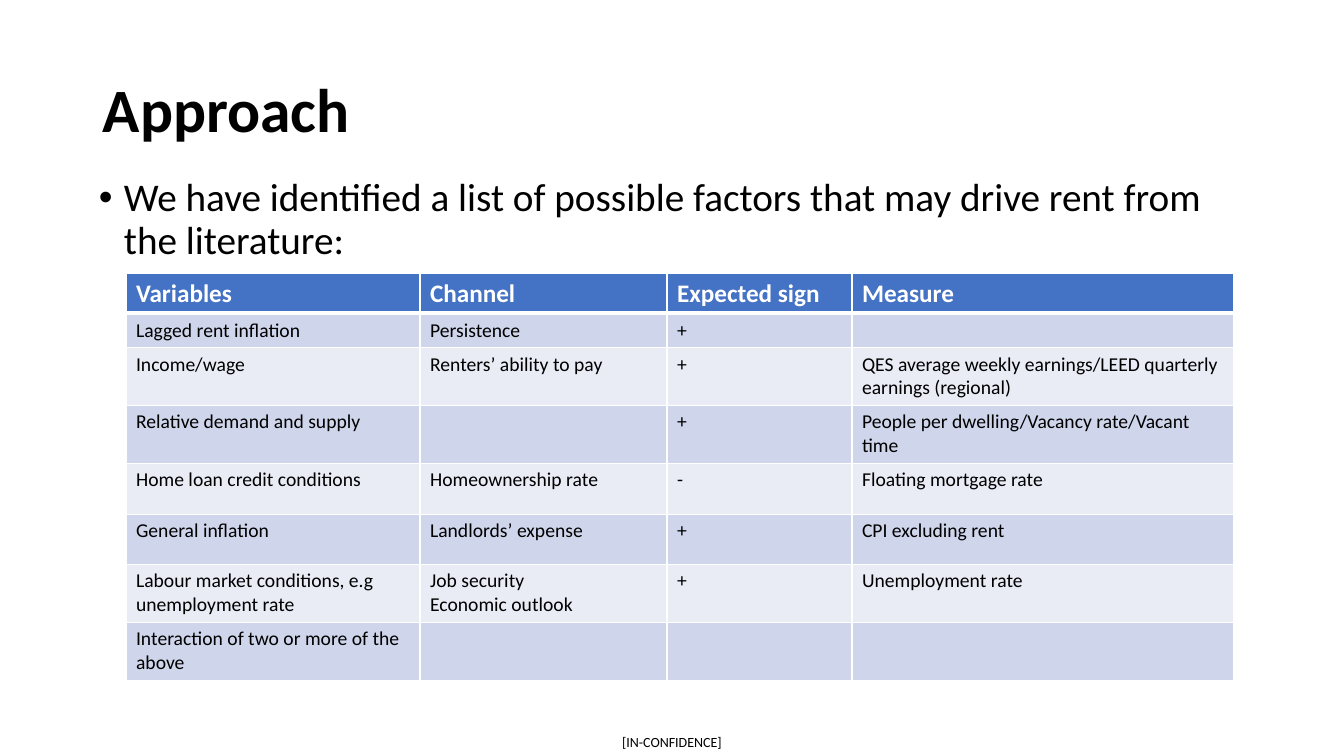
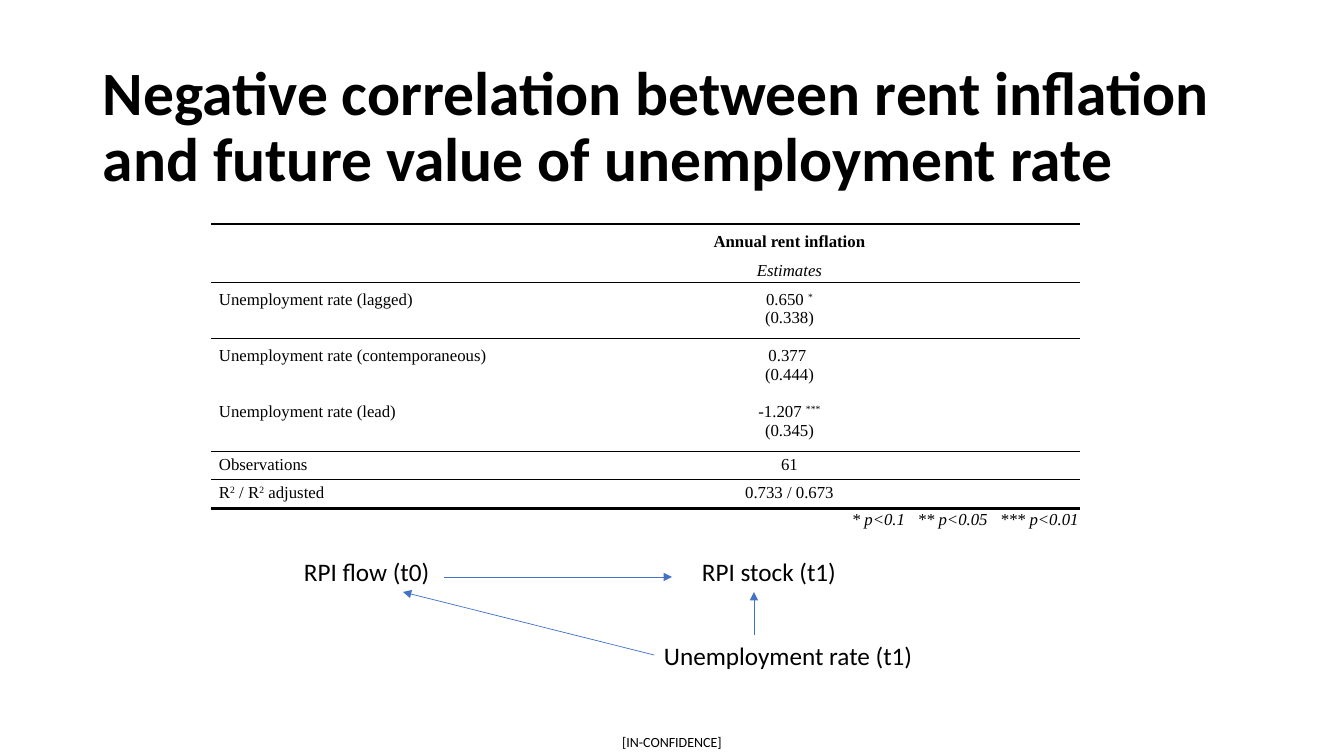
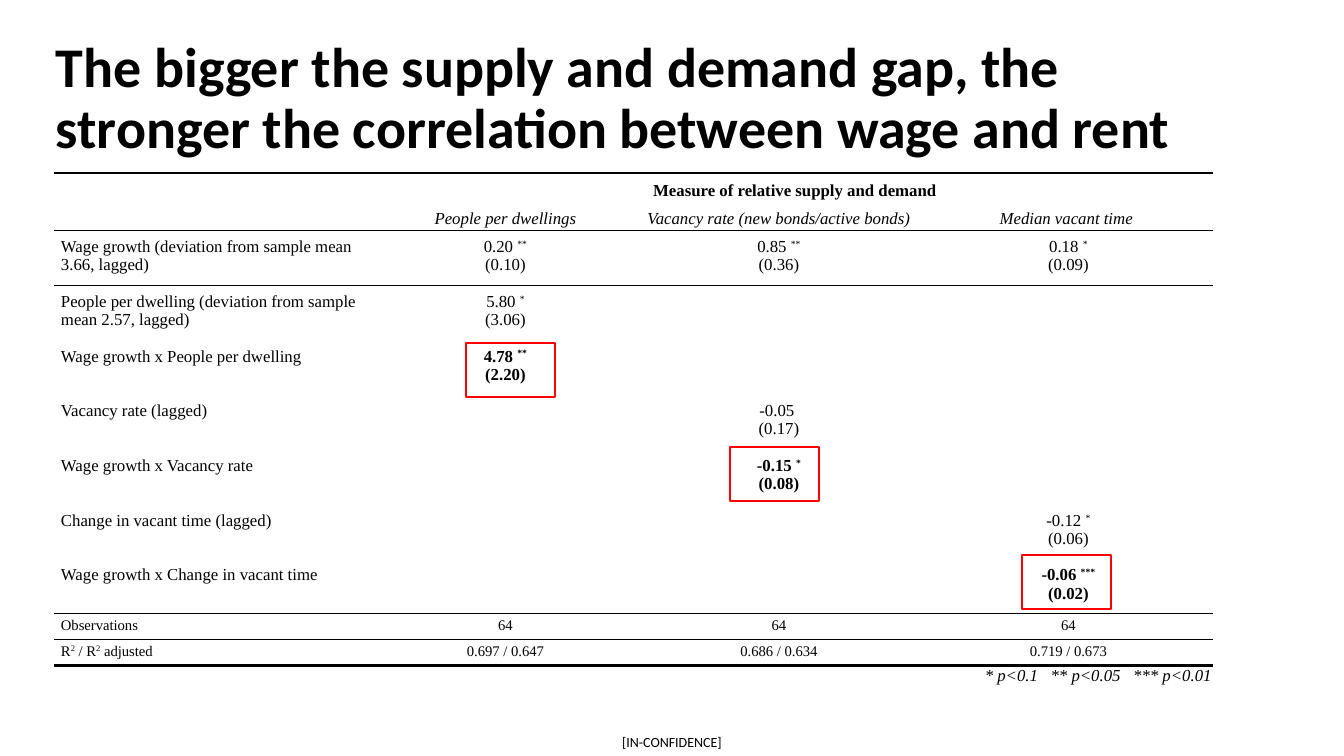
from collections import namedtuple

from lxml.etree import SubElement
from pptx import Presentation
from pptx.dml.color import RGBColor
from pptx.enum.shapes import MSO_CONNECTOR, MSO_SHAPE
from pptx.enum.text import MSO_ANCHOR, PP_ALIGN
from pptx.oxml.ns import qn
from pptx.util import Emu, Pt

EMU_PER_PX = 914400 / 100.8
SLIDE_SIZE = (1344, 756)
SANS = "Calibri"
SERIF = "Times New Roman"
COLOURS = {
    "text": "000000",
    "white": "FFFFFF",
    "accent": "4472C4",
    "band_dark": "CFD5EA",
    "band_light": "E9EBF5",
    "highlight": "FF0000",
}
PLAIN_TABLE_STYLE = "{2D5ABB26-0587-4C30-8999-92F81FD0307C}"
SIGNIFICANCE_NOTE = "* p<0.1   ** p<0.05   *** p<0.01"

Run = namedtuple("Run", "text superscript bold", defaults=(False, False))
Row = namedtuple("Row", "kind height cells")
# rule: line weight above the first row of a kind; margin: None means the side margin
RowStyle = namedtuple("RowStyle", "rule margin anchor bold italic")
ROW_STYLES = {
    "heading": RowStyle(2.25, None, MSO_ANCHOR.MIDDLE, True, False),
    "subheading": RowStyle(0, 1, MSO_ANCHOR.MIDDLE, False, True),
    "estimate": RowStyle(1, None, MSO_ANCHOR.TOP, False, False),
    "summary": RowStyle(1, 4, MSO_ANCHOR.TOP, False, False),
    "note": RowStyle(2.25, 1, MSO_ANCHOR.MIDDLE, False, True),
}
R_SQUARED = [Run("R"), Run("2", True), Run(" / R"), Run("2", True), Run(" adjusted")]


def px(length):
    return Emu(round(length * EMU_PER_PX))


def colour(name):
    return RGBColor.from_string(COLOURS[name])


def add_run(paragraph, text, size, font=SANS, color="text", bold=False, italic=False):
    run = paragraph.add_run()
    run.text = text
    run.font.size = Pt(size)
    run.font.name = font
    run.font.color.rgb = colour(color)
    run.font.bold = bold
    run.font.italic = italic
    return run


def add_break(paragraph, size):
    paragraph.add_line_break()
    SubElement(paragraph._p[-1], qn("a:rPr"), sz=str(round(size * 100)))


def size_empty_paragraph(paragraph, size):
    """Keep an empty cell from forcing its row taller."""
    SubElement(paragraph._p, qn("a:endParaRPr"), sz=str(round(size * 100)))


def add_text(slide, box, text, size, bold=False, anchor=MSO_ANCHOR.TOP):
    shape = slide.shapes.add_textbox(*map(px, box))
    frame = shape.text_frame
    frame.word_wrap = True
    frame.vertical_anchor = anchor
    paragraph = frame.paragraphs[0]
    add_run(paragraph, text, size, bold=bold)
    return shape


def add_title(slide, text, box, size=44):
    shape = add_text(slide, box, text, size, True, MSO_ANCHOR.MIDDLE)
    shape.text_frame.paragraphs[0].line_spacing = 0.9


def add_bullet(slide, box, text):
    paragraph = add_text(slide, box, text, 28).text_frame.paragraphs[0]
    paragraph.line_spacing = 0.9
    paragraph.space_before = Pt(10)
    properties = paragraph._p.get_or_add_pPr()
    properties.set("marL", str(px(25)))
    properties.set("indent", str(-px(25)))
    SubElement(properties, qn("a:buFont"), typeface="Arial")
    SubElement(properties, qn("a:buChar"), char="•")


def add_slide(presentation):
    """Add a blank slide with the classification footer."""
    slide = presentation.slides.add_slide(presentation.slide_layouts[6])
    footer = add_text(slide, (606, 727, 132, 29), "[IN-CONFIDENCE]", 10,
                      anchor=MSO_ANCHOR.MIDDLE)
    frame = footer.text_frame
    frame.margin_left = frame.margin_right = frame.margin_top = frame.margin_bottom = 0
    frame.paragraphs[0].alignment = PP_ALIGN.CENTER
    return slide


def add_arrow(slide, start, end):
    connector = slide.shapes.add_connector(
        MSO_CONNECTOR.STRAIGHT, *map(px, start + end))
    connector.line.color.rgb = colour("accent")
    connector.line.width = Pt(0.5)
    SubElement(connector.line._get_or_add_ln(), qn("a:tailEnd"), type="triangle")
    SubElement(connector._element.spPr, qn("a:effectLst"))


def add_highlight(slide, left, top):
    shape = slide.shapes.add_shape(
        MSO_SHAPE.RECTANGLE, px(left), px(top), px(89), px(54))
    shape.shadow.inherit = False
    shape.fill.solid()
    shape.fill.fore_color.rgb = colour("white")
    shape.line.color.rgb = colour("highlight")
    shape.line.width = Pt(1)


def add_plain_table(slide, left, top, widths, heights):
    frame = slide.shapes.add_table(
        len(heights), len(widths), px(left), px(top), px(sum(widths)), px(sum(heights)))
    table = frame.table
    table.first_row = table.horz_banding = False
    table._tbl.tblPr.find(qn("a:tableStyleId")).text = PLAIN_TABLE_STYLE
    for column, width in zip(table.columns, widths):
        column.width = px(width)
    for row, height in zip(table.rows, heights):
        row.height = px(height)
    return table


def set_borders(cell, color, **weights):
    """Draw cell borders; weights are points by side, given in the order L, R, T, B."""
    for side, weight in weights.items():
        if weight:
            line = SubElement(cell._tc.get_or_add_tcPr(), qn("a:ln" + side),
                              w=str(Pt(weight)))
            fill = SubElement(line, qn("a:solidFill"))
            SubElement(fill, qn("a:srgbClr"), val=COLOURS[color])


def add_banded_table(slide, left, top, widths, heights, rows):
    table = add_plain_table(slide, left, top, widths, heights)
    for i, texts in enumerate(rows):
        header = i == 0
        size = 18 if header else 14
        fill = "accent" if header else ("band_light", "band_dark")[i % 2]
        for j, text in enumerate(texts):
            cell = table.cell(i, j)
            set_borders(cell, "white", L=1, R=1, T=3 if i == 1 else 1,
                        B=3 if header else 1)
            cell.fill.solid()
            cell.fill.fore_color.rgb = colour(fill)
            frame = cell.text_frame
            for k, line in enumerate(text.split("\n")):
                paragraph = frame.add_paragraph() if k else frame.paragraphs[0]
                if line:
                    add_run(paragraph, line, size, bold=header,
                            color="white" if header else "text")
                else:
                    size_empty_paragraph(paragraph, size)


def estimate(value, stars, error, bold=False):
    """Runs for a coefficient with its stars, over its standard error."""
    runs = [Run(value + " ", False, bold)]
    if stars:
        runs.append(Run(stars, True, bold))
    return runs + [Run("\n"), Run(f"({error})", False, bold)]


def fill_regression_cell(cell, content, style, side_margin, size, alignment):
    cell.margin_left = cell.margin_right = px(1 if style.margin == 1 else side_margin)
    cell.margin_top = cell.margin_bottom = px(style.margin or side_margin)
    cell.vertical_anchor = style.anchor
    paragraph = cell.text_frame.paragraphs[0]
    paragraph.alignment = alignment
    if not content:
        size_empty_paragraph(paragraph, size)
        return
    for part in [Run(content)] if isinstance(content, str) else content:
        if part.text == "\n":
            add_break(paragraph, size)
            continue
        run = add_run(paragraph, part.text, size, SERIF,
                      bold=style.bold or part.bold, italic=style.italic)
        if part.superscript:
            run.font._element.set("baseline", "30000")


def add_regression_table(slide, left, top, widths, rows, side_margin, summary_size=12):
    """The last cell of a short row spans the columns that are left."""
    table = add_plain_table(slide, left, top, widths, [row.height for row in rows])
    kinds = [row.kind for row in rows]
    rules = [ROW_STYLES[kind].rule if kind != before else 0
             for before, kind in zip([None] + kinds, kinds)] + [0]
    last = len(widths) - 1
    for i, row in enumerate(rows):
        size = summary_size if row.kind == "summary" else 12
        contents = list(row.cells) + [""] * (len(widths) - len(row.cells))
        for j, content in enumerate(contents):
            alignment = PP_ALIGN.CENTER if j else PP_ALIGN.LEFT
            if row.kind == "note":
                alignment = PP_ALIGN.RIGHT
            cell = table.cell(i, j)
            set_borders(cell, "text", T=rules[i], B=rules[i + 1])
            cell.fill.background()
            fill_regression_cell(cell, content, ROW_STYLES[row.kind], side_margin,
                                 size, alignment)
        if len(row.cells) <= last:
            table.cell(i, len(row.cells) - 1).merge(table.cell(i, last))


def build_approach(presentation):
    slide = add_slide(presentation)
    add_bullet(slide, (89, 173, 1162, 522),
               "We have identified a list of possible factors that may drive rent "
               "from the literature:")
    add_title(slide, "Approach", (93, 40, 1159, 146))
    add_banded_table(
        slide, 126, 273, (294, 247, 185, 382), (40, 34, 58, 58, 51, 50, 58, 58), [
            ("Variables", "Channel", "Expected sign", "Measure"),
            ("Lagged rent inflation", "Persistence", "+", ""),
            ("Income/wage", "Renters’ ability to pay", "+",
             "QES average weekly earnings/LEED quarterly earnings (regional)"),
            ("Relative demand and supply", "", "+",
             "People per dwelling/Vacancy rate/Vacant time"),
            ("Home loan credit conditions", "Homeownership rate", "-",
             "Floating mortgage rate"),
            ("General inflation", "Landlords’ expense", "+", "CPI excluding rent"),
            ("Labour market conditions, e.g unemployment rate",
             "Job security\nEconomic outlook", "+", "Unemployment rate"),
            ("Interaction of two or more of the above", "", "", ""),
        ])


def build_unemployment(presentation):
    slide = add_slide(presentation)
    add_regression_table(slide, 211, 224, (288, 581), [
        Row("heading", 36, ("", "Annual rent inflation")),
        Row("subheading", 22, ("", "Estimates")),
        Row("estimate", 56, ("Unemployment rate (lagged)",
                             estimate("0.650", "*", "0.338"))),
        Row("estimate", 56, ("Unemployment rate (contemporaneous)",
                             estimate("0.377", "", "0.444"))),
        Row("estimate", 56, ("Unemployment rate (lead)",
                             estimate("-1.207", "***", "0.345"))),
        Row("summary", 28, ("Observations", "61")),
        Row("summary", 29, (R_SQUARED, "0.733 / 0.673")),
        Row("note", 22, (SIGNIFICANCE_NOTE,)),
    ], side_margin=8)
    add_title(slide, "Negative correlation between rent inflation and future value "
                     "of unemployment rate", (93, 40, 1159, 177))
    add_text(slide, (294, 551, 218, 40), "RPI flow (t0)", 18)
    add_text(slide, (692, 551, 198, 40), "RPI stock (t1)", 18)
    add_text(slide, (654, 635, 274, 40), "Unemployment rate (t1)", 18)
    add_arrow(slide, (444, 577), (672, 577))
    add_arrow(slide, (754, 635), (754, 592))
    add_arrow(slide, (654, 655), (403, 592))


def build_supply_gap(presentation):
    slide = add_slide(presentation)
    for left, top in ((1022, 555), (466, 343), (730, 447)):
        add_highlight(slide, left, top)
    add_regression_table(slide, 54, 173, (323, 257, 290, 289), [
        Row("heading", 35, ("", "Measure of relative supply and demand")),
        Row("subheading", 21, ("", "People per dwellings",
                               "Vacancy rate (new bonds/active bonds)",
                               "Median vacant time ")),
        Row("estimate", 55, ("Wage growth (deviation from sample mean 3.66, lagged)",
                             estimate("0.20", "**", "0.10"),
                             estimate("0.85", "**", "0.36"),
                             estimate("0.18", "*", "0.09"))),
        Row("estimate", 55, (
            "People per dwelling (deviation from sample mean 2.57, lagged)",
            estimate("5.80", "*", "3.06"), "", "")),
        Row("estimate", 54, ("Wage growth x People per dwelling",
                             estimate("4.78", "**", "2.20", True), "", "")),
        Row("estimate", 55, ("Vacancy rate (lagged)", "",
                             estimate("-0.05", "", "0.17"), "")),
        Row("estimate", 55, ("Wage growth x Vacancy rate", "",
                             estimate("-0.15", "*", "0.08", True), "")),
        Row("estimate", 54, ("Change in vacant time (lagged)", "", "",
                             estimate("-0.12", "*", "0.06"))),
        Row("estimate", 55, ("Wage growth x Change in vacant time", "", "",
                             estimate("-0.06", "***", "0.02", True))),
        Row("summary", 25, ("Observations", "64", "64", "64")),
        Row("summary", 26, (R_SQUARED, "0.697 / 0.647", "0.686 / 0.634",
                            "0.719 / 0.673")),
        Row("note", 21, (SIGNIFICANCE_NOTE,)),
    ], side_margin=7, summary_size=10.5)
    add_title(slide, "The bigger the supply and demand gap, the stronger the "
                     "correlation between wage and rent", (46, 27, 1159, 146), 40)


def main():
    presentation = Presentation()
    presentation.slide_width, presentation.slide_height = map(px, SLIDE_SIZE)
    build_approach(presentation)
    build_unemployment(presentation)
    build_supply_gap(presentation)
    presentation.save("out.pptx")


if __name__ == "__main__":
    main()
